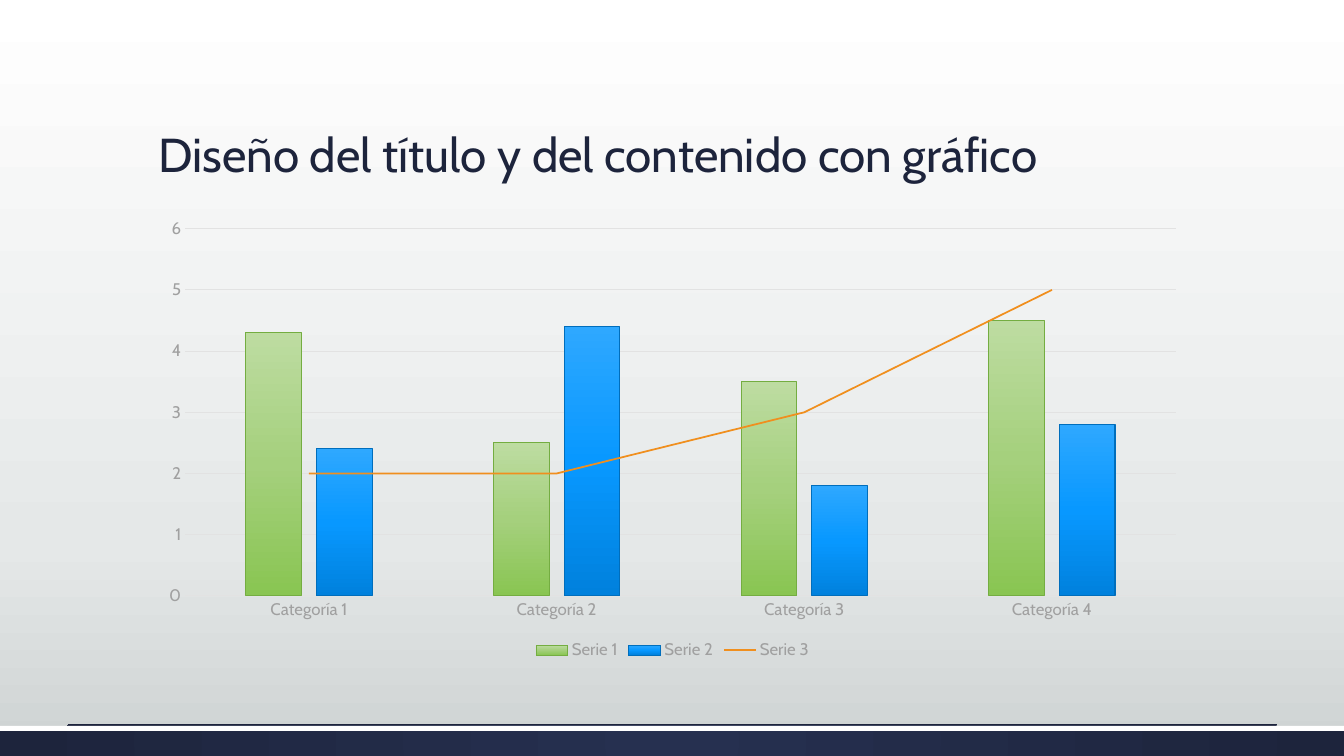
from pptx import Presentation
from pptx import util as u
from pptx.chart.data import CategoryChartData
from pptx.dml.color import RGBColor
from pptx.enum import chart as ch, shapes, text
from pptx.oxml import parse_xml
from pptx.oxml.ns import nsdecls, qn

COLORS = {
    "navy": "1D243C", "navy_light": "263050", "white": "FFFFFF",
    "mist": "E5E8E8", "fog": "CDD2D2", "grid": "E2E2E2", "label": "A0A0A0",
    "green_top": "BDDCA1", "green_mid": "A5D07D", "green_end": "89C552",
    "green_line": "74AD41", "blue_top": "2EA8FF", "blue_mid": "0898FF",
    "blue_end": "0081DD", "blue_line": "006EBC", "orange": "F08F1E",
}
CATEGORIES = ["Categoría 1", "Categoría 2", "Categoría 3", "Categoría 4"]
SERIES = {
    "Serie 1": (4.3, 2.5, 3.5, 4.5),
    "Serie 2": (2.4, 4.4, 1.8, 2.8),
    "Serie 3": (2, 2, 3, 5),
}
VERTICAL = '<a:lin ang="5400000" scaled="0"/>'
RADIAL = ('<a:path path="circle"><a:fillToRect l="50000" t="50000" '
          'r="50000" b="50000"/></a:path>')


def rgb(name):
    return RGBColor.from_string(COLORS[name])


def set_all(target, values):
    for name, value in values.items():
        setattr(target, name, value)


class ChartSlide:
    font_name = "Cabin"

    def __init__(self, slide):
        self.slide = slide

    def style_font(self, font, size, color):
        set_all(font, {"name": self.font_name, "size": u.Pt(size), "bold": False})
        font.color.rgb = rgb(color)

    def style_line(self, line, color, width):
        line.color.rgb = rgb(color)
        line.width = u.Pt(width)

    def gradient(self, fill, owner, stops, direction=VERTICAL):
        """Fill with (percent, color) stops; owner is the XML element holding the fill."""
        fill.gradient()
        old = next(owner.iter(qn("a:gradFill")))
        marks = "".join(
            f'<a:gs pos="{percent * 1000}"><a:srgbClr val="{COLORS[color]}"/></a:gs>'
            for percent, color in stops)
        old.getparent().replace(old, parse_xml(
            f'<a:gradFill {nsdecls("a")} rotWithShape="1">'
            f'<a:gsLst>{marks}</a:gsLst>{direction}</a:gradFill>'))

    def background(self, stops):
        self.gradient(self.slide.background.fill, self.slide.element, stops)

    def band(self, top, height):
        band = self.slide.shapes.add_shape(
            shapes.MSO_SHAPE.RECTANGLE, 0, u.Inches(top), u.Inches(13.33), u.Inches(height))
        band.shadow.inherit = False
        band.line.fill.background()
        return band

    def rule(self, left, right, y, color):
        rule = self.slide.shapes.add_connector(
            shapes.MSO_CONNECTOR.STRAIGHT,
            u.Inches(left), u.Inches(y), u.Inches(right), u.Inches(y))
        self.style_line(rule.line, color, 0.75)
        rule.element.spPr.append(parse_xml(f'<a:effectLst {nsdecls("a")}/>'))

    def title(self, words, box):
        frame = self.slide.shapes.add_textbox(*map(u.Inches, box)).text_frame
        set_all(frame, {"word_wrap": True, "vertical_anchor": text.MSO_ANCHOR.BOTTOM})
        heading = frame.paragraphs[0]
        heading.line_spacing = 0.9
        run = heading.add_run()
        run.text = words
        self.style_font(run.font, 34, "navy")

    def combined_chart(self, box):
        """Two column series with the third drawn as a line on the same axes."""
        data = CategoryChartData()
        data.categories = CATEGORIES
        for name, values in SERIES.items():
            data.add_series(name, values)
        chart = self.slide.shapes.add_chart(
            ch.XL_CHART_TYPE.COLUMN_CLUSTERED, *map(u.Inches, box), data).chart
        set_all(chart, {"has_title": False, "has_legend": True})
        set_all(chart.legend, {"position": ch.XL_LEGEND_POSITION.BOTTOM,
                               "include_in_layout": False})
        self.style_font(chart.legend.font, 12, "label")
        self.style_axes(chart)

        columns = chart.plots[0]
        set_all(columns, {"gap_width": 219, "overlap": -27, "vary_by_categories": False})
        for series, hue in zip(columns.series, ("green", "blue")):
            stops = [(0, f"{hue}_top"), (50, f"{hue}_mid"), (100, f"{hue}_end")]
            self.gradient(series.format.fill, series._element, stops)
            self.style_line(series.format.line, f"{hue}_line", 0.75)
        self.move_to_line_plot(columns.series[2]._element)

        trend = chart.plots[1].series[0]
        trend.smooth = False
        trend.marker.style = ch.XL_MARKER_STYLE.NONE
        self.style_line(trend.format.line, "orange", 1.25)

    def style_axes(self, chart):
        for axis in (chart.category_axis, chart.value_axis):
            set_all(axis, {"major_tick_mark": ch.XL_TICK_MARK.NONE,
                           "minor_tick_mark": ch.XL_TICK_MARK.NONE})
            self.style_font(axis.tick_labels.font, 12, "label")
        self.style_line(chart.category_axis.format.line, "grid", 0.75)
        set_all(chart.value_axis, {"minimum_scale": 0, "maximum_scale": 6, "major_unit": 1})
        chart.value_axis.format.line.fill.background()
        self.style_line(chart.value_axis.major_gridlines.format.line, "grid", 0.75)

    def move_to_line_plot(self, series):
        bars = series.getparent()
        axes = "".join(f'<c:axId val="{axis.get("val")}"/>'
                       for axis in bars.findall(qn("c:axId")))
        lines = parse_xml(
            f'<c:lineChart {nsdecls("c")}><c:grouping val="standard"/>'
            f'<c:varyColors val="0"/><c:marker val="1"/>{axes}</c:lineChart>')
        for invert in series.findall(qn("c:invertIfNegative")):
            series.remove(invert)
        lines.insert(2, series)
        bars.addnext(lines)


def main():
    deck = Presentation()
    set_all(deck, {"slide_width": u.Inches(13.33), "slide_height": u.Inches(7.5)})
    page = ChartSlide(deck.slides.add_slide(deck.slide_layouts[6]))
    page.background([(0, "white"), (72, "mist"), (100, "fog")])

    footer = page.band(7.2, 0.3)
    page.gradient(footer.fill, footer.element, [(0, "navy_light"), (100, "navy")], RADIAL)
    stripe = page.band(7.2, 0.05)
    stripe.fill.solid()
    stripe.fill.fore_color.rgb = rgb("white")
    page.rule(0.67, 12.67, 7.19, "navy")

    page.title("Diseño del título y del contenido con gráfico", (1.47, 0.51, 10.4, 1.35))
    page.combined_chart((1.47, 2.08, 10.4, 4.51))
    deck.save("out.pptx")


if __name__ == "__main__":
    main()
